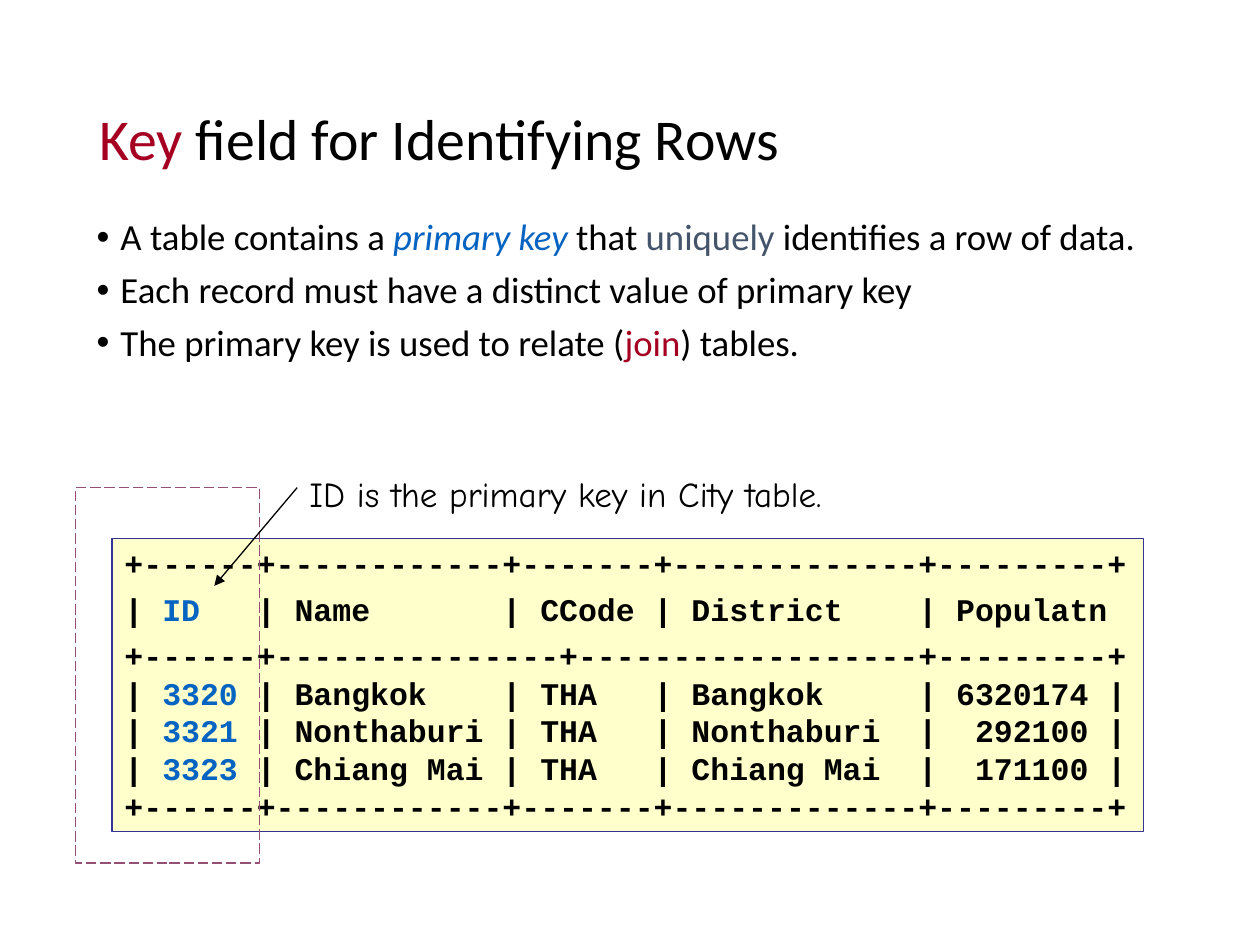
from lxml import etree
from pptx import Presentation
from pptx.dml.color import RGBColor
from pptx.enum.dml import MSO_LINE
from pptx.enum.shapes import MSO_CONNECTOR, MSO_SHAPE
from pptx.enum.text import MSO_ANCHOR, MSO_AUTO_SIZE, PP_ALIGN
from pptx.oxml.ns import qn
from pptx.util import Cm, Pt

RECT, STRAIGHT = MSO_SHAPE.RECTANGLE, MSO_CONNECTOR.STRAIGHT
TOP, MIDDLE, LEFT = MSO_ANCHOR.TOP, MSO_ANCHOR.MIDDLE, PP_ALIGN.LEFT
NO_FIT, LONG_DASH = MSO_AUTO_SIZE.NONE, MSO_LINE.LONG_DASH

THEME = {
    "ink": "000000", "red": "A50021", "blue": "0563C1", "slate": "44546A",
    "panel": "FFFFCC", "panel_line": "333399", "frame": "954F72", "line": 0.75,
    "title": {"name": "Calibri", "size": Pt(33)},
    "body": {"name": "Calibri", "size": Pt(21)},
    "code": {"name": "Courier New", "size": Pt(18), "bold": True},
    "note": {"name": "Comic Neue", "size": Pt(20)},
}

TITLE = [[("Key", "red"), (" field for Identifying Rows", "ink")]]
BULLETS = [
    [("A table contains a ", "ink"), ("primary key", "blue", {"italic": True}),
     (" that ", "ink"), ("uniquely", "slate"), (" identifies a row of data.", "ink")],
    [("Each record must have a distinct value of primary key", "ink")],
    [("The primary key is used to relate (", "ink"), ("join", "red"), (") tables.", "ink")],
]
NOTE = [[("ID is the primary key in City table.", "ink")]]
RULE = "+------+------------+-------+-------------+---------+"
HEADER_RULE = "+------+---------------+------------------+---------+"
HEADER = ("ID", "   | Name       | CCode | District    | Populatn")
CITIES = [
    ("3320", " | Bangkok    | THA   | Bangkok     | 6320174 |"),
    ("3321", " | Nonthaburi | THA   | Nonthaburi  |  292100 |"),
    ("3323", " | Chiang Mai | THA   | Chiang Mai  |  171100 |"),
]


def rgb(key):
    return RGBColor.from_string(THEME[key])


def place(sp, left, top, width, height):
    sp.left, sp.top, sp.width, sp.height = Cm(left), Cm(top), Cm(width), Cm(height)


def add_bullet(p):
    pPr = p._p.get_or_add_pPr()
    pPr.set("marL", str(Cm(0.48)))
    pPr.set("indent", str(-Cm(0.48)))
    color = etree.SubElement(pPr, qn("a:buClr"))
    etree.SubElement(color, qn("a:srgbClr"), val=THEME["ink"])
    etree.SubElement(pPr, qn("a:buFont"), typeface="Arial")
    etree.SubElement(pPr, qn("a:buChar"), char="•")


def write(sp, lines, font, anchor=TOP, spacing=1.0, before=(), bullets=False):
    tf = sp.text_frame
    frame = {"word_wrap": True, "auto_size": NO_FIT, "vertical_anchor": anchor}
    for name, value in frame.items():
        setattr(tf, name, value)
    for i, line in enumerate(lines):
        p = tf.paragraphs[0] if i == 0 else tf.add_paragraph()
        if bullets:
            add_bullet(p)
        p.alignment, p.line_spacing = LEFT, spacing
        p.space_before = Pt(before[i] if i < len(before) else 0)
        for text, color, *extra in line:
            r = p.add_run()
            r.text = text
            r.font.color.rgb = rgb(color)
            for name, value in {**THEME[font], **(extra[0] if extra else {})}.items():
                setattr(r.font, name, value)


def add_text(s, box, lines, font, **options):
    sp = s.shapes.add_textbox(*map(Cm, box))
    write(sp, lines, font, **options)


def add_rect(s, box, line, fill=None):
    sp = s.shapes.add_shape(RECT, *map(Cm, box))
    sp.shadow.inherit = False
    if fill:
        sp.fill.solid()
        sp.fill.fore_color.rgb = rgb(fill)
    else:
        sp.fill.background()
    sp.line.color.rgb = rgb(line)
    sp.line.width = Pt(THEME["line"])
    return sp


def add_arrow(s, start, end):
    arrow = s.shapes.add_connector(STRAIGHT, *map(Cm, start + end))
    arrow.line.color.rgb = rgb("ink")
    arrow.line.width = Pt(THEME["line"])
    etree.SubElement(arrow.line._get_or_add_ln(), qn("a:tailEnd"), type="triangle")
    etree.SubElement(arrow._element.spPr, qn("a:effectLst"))


def record(key, rest):
    return [("| ", "ink"), (key, "blue"), (rest, "ink")]


def main():
    prs = Presentation()
    prs.slide_width, prs.slide_height = Cm(25.4), Cm(19.05)
    s = prs.slides.add_slide(prs.slide_layouts[5])

    place(s.shapes.title, 1.75, 1.02, 21.92, 3.68)
    write(s.shapes.title, TITLE, "title", anchor=MIDDLE, spacing=0.9)
    add_text(s, (1.7, 4.29, 22, 7.21), BULLETS, "body",
             spacing=0.9, before=(0, 7.5, 7.5), bullets=True)

    rule = [(RULE, "ink")]
    listing = [rule, record(*HEADER), [(HEADER_RULE, "ink")],
               *(record(*city) for city in CITIES), rule]
    panel = add_rect(s, (2.26, 10.85, 20.8, 5.92), "panel_line", "panel")
    write(panel, listing, "code", before=(0, 4.5, 4.5))

    key_frame = add_rect(s, (1.52, 9.83, 3.71, 7.57), "frame")
    key_frame.line.dash_style = LONG_DASH
    add_text(s, (5.99, 9.4, 12.7, 1.12), NOTE, "note")
    add_arrow(s, (5.99, 9.83), (4.32, 11.81))

    prs.save("out.pptx")


if __name__ == "__main__":
    main()
